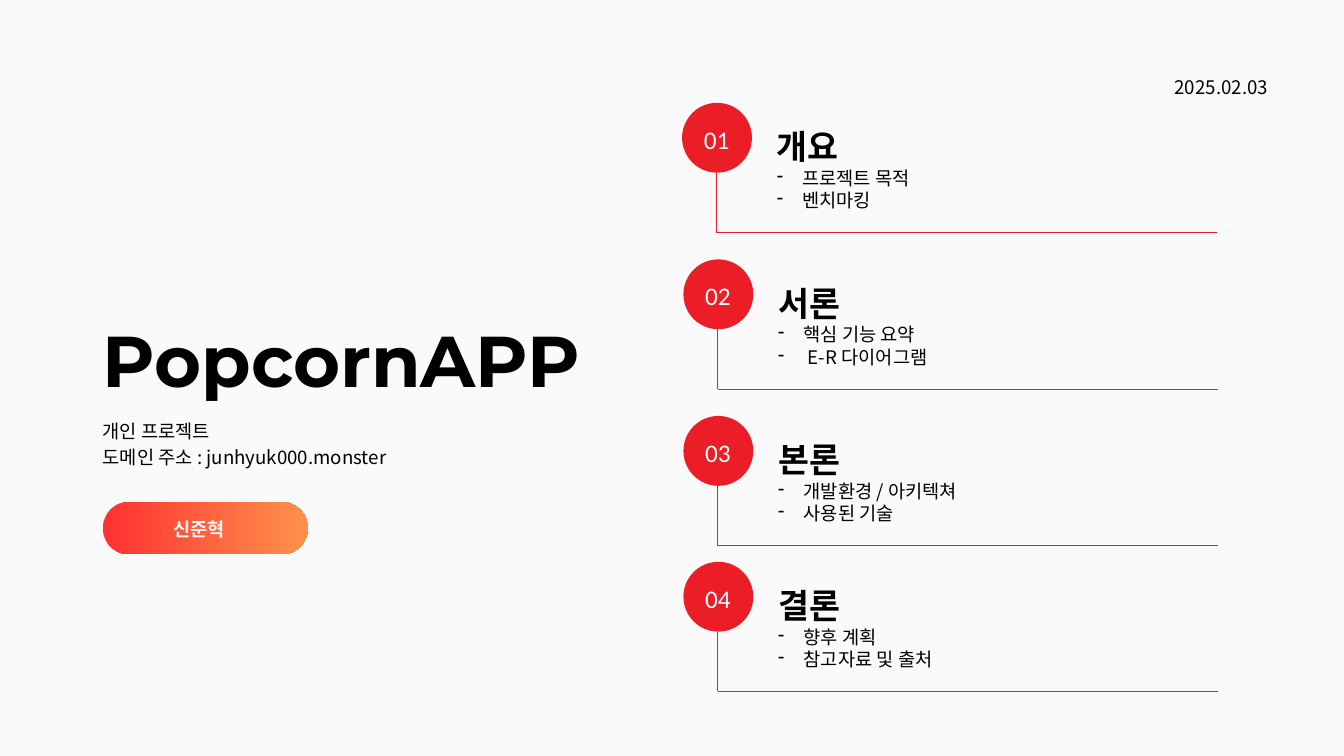
from lxml import etree
from pptx import Presentation
from pptx.dml.color import RGBColor
from pptx.enum.shapes import MSO_CONNECTOR, MSO_SHAPE
from pptx.enum.text import PP_ALIGN
from pptx.oxml.ns import qn
from pptx.util import Pt

PX = 9144  # 100 px to the inch
LEFT, CENTER, RIGHT = PP_ALIGN.LEFT, PP_ALIGN.CENTER, PP_ALIGN.RIGHT
OVAL, PILL = MSO_SHAPE.OVAL, MSO_SHAPE.ROUNDED_RECTANGLE
STRAIGHT = MSO_CONNECTOR.STRAIGHT

PAPER = RGBColor(0xFA, 0xFA, 0xFA)
BLACK = RGBColor(0x00, 0x00, 0x00)
RED = RGBColor(0xEB, 0x1D, 0x26)
PILL_START = RGBColor(0xFF, 0x31, 0x31)
PILL_END = RGBColor(0xFF, 0x91, 0x4D)
CREAM = RGBColor(0xF9, 0xF3, 0xEF)
HEADING_FONT, BODY_FONT = "Noto Sans CJK KR", "Noto Sans CJK SC"

presentation = Presentation()
presentation.slide_width = 2000 * PX
presentation.slide_height = 1125 * PX
slide = presentation.slides.add_slide(presentation.slide_layouts[6])
slide.background.fill.solid()
slide.background.fill.fore_color.rgb = PAPER


def add_text(box, lines, size, font, color, spacing, bold=False, align=LEFT):
    """Add a text box without margins and return its text frame."""
    frame = slide.shapes.add_textbox(*(value * PX for value in box)).text_frame
    frame.word_wrap = True
    frame.margin_left = frame.margin_right = 0
    frame.margin_top = frame.margin_bottom = 0
    for index, line in enumerate(lines):
        paragraph = frame.paragraphs[0] if index == 0 else frame.add_paragraph()
        paragraph.alignment = align
        paragraph.line_spacing = Pt(spacing)
        add_run(paragraph, line, size, font, color, bold)
    return frame


def add_run(paragraph, text, size, font, color, bold=False):
    """Add a run whose font also covers Korean letters."""
    run = paragraph.add_run()
    run.text = text
    run.font.size = Pt(size)
    run.font.bold = bold
    run.font.color.rgb = color
    run.font.name = font
    latin = run.font._element.find(qn("a:latin"))
    east_asian = etree.Element(qn("a:ea"), typeface=font)
    latin.addnext(east_asian)


# Agenda: left, top, heading, points
agenda = [
    (1015, 153, "개요", ["프로젝트 목적", "벤치마킹"]),
    (1017, 386, "서론", ["핵심 기능 요약", " E-R 다이어그램"]),
    (1017, 619, "본론", ["개발환경 / 아키텍쳐", "사용된 기술"]),
    (1017, 836, "결론", ["향후 계획", "참고자료 및 출처"]),
]
for number, (left, top, heading, points) in enumerate(agenda, start=1):
    circle = slide.shapes.add_shape(OVAL, left * PX, top * PX, 104 * PX, 104 * PX)
    circle.shadow.inherit = False
    circle.fill.solid()
    circle.fill.fore_color.rgb = RED
    circle.line.fill.background()

    corner_x, corner_y = left + 51, top + 193
    for end_x, end_y in [(corner_x + 745, corner_y), (corner_x, top + 104)]:
        line = slide.shapes.add_connector(
            STRAIGHT, corner_x * PX, corner_y * PX, end_x * PX, end_y * PX)
        line.line.color.rgb = RED
        line.line.width = Pt(0.75)
        etree.SubElement(line._element.spPr, qn("a:effectLst"))

    frame = add_text((left + 141, top + 4, 359, 158), [heading],
                     36, HEADING_FONT, BLACK, 65.4, bold=True)
    for point in points:
        paragraph = frame.add_paragraph()
        properties = paragraph._p.get_or_add_pPr()
        properties.set("marL", str(38 * PX))
        properties.set("indent", str(-38 * PX))
        etree.SubElement(properties, qn("a:buChar"), char="-")
        add_run(paragraph, point, 20, HEADING_FONT, BLACK)

    add_text((left + 13, top + 24, 77, 53), [f"{number:02}"],
             27.1, "Calibri", PAPER, 38, align=CENTER)

# Title block
add_text((153, 448, 839, 142), ["PopcornAPP"], 77, "Montserrat", BLACK, 107.7, bold=True)
add_text((153, 619, 1012, 76), ["개인 프로젝트", "도메인 주소 : junhyuk000.monster"],
         20, BODY_FONT, BLACK, 28)

# Author pill
pill = slide.shapes.add_shape(PILL, 153 * PX, 747 * PX, 305 * PX, 78 * PX)
pill.adjustments[0] = 0.5
pill.shadow.inherit = False
pill.line.fill.background()
pill.fill.gradient()
pill.fill.gradient_angle = 0
for stop, color in zip(pill.fill.gradient_stops, (PILL_START, PILL_END)):
    stop.color.rgb = color
add_text((242, 765, 108, 37), ["신준혁"], 20, BODY_FONT, CREAM, 28, bold=True, align=CENTER)

# Date
add_text((1733, 108, 154, 37), ["2025.02.03"], 20, BODY_FONT, BLACK, 28, align=RIGHT)

presentation.save("out.pptx")
